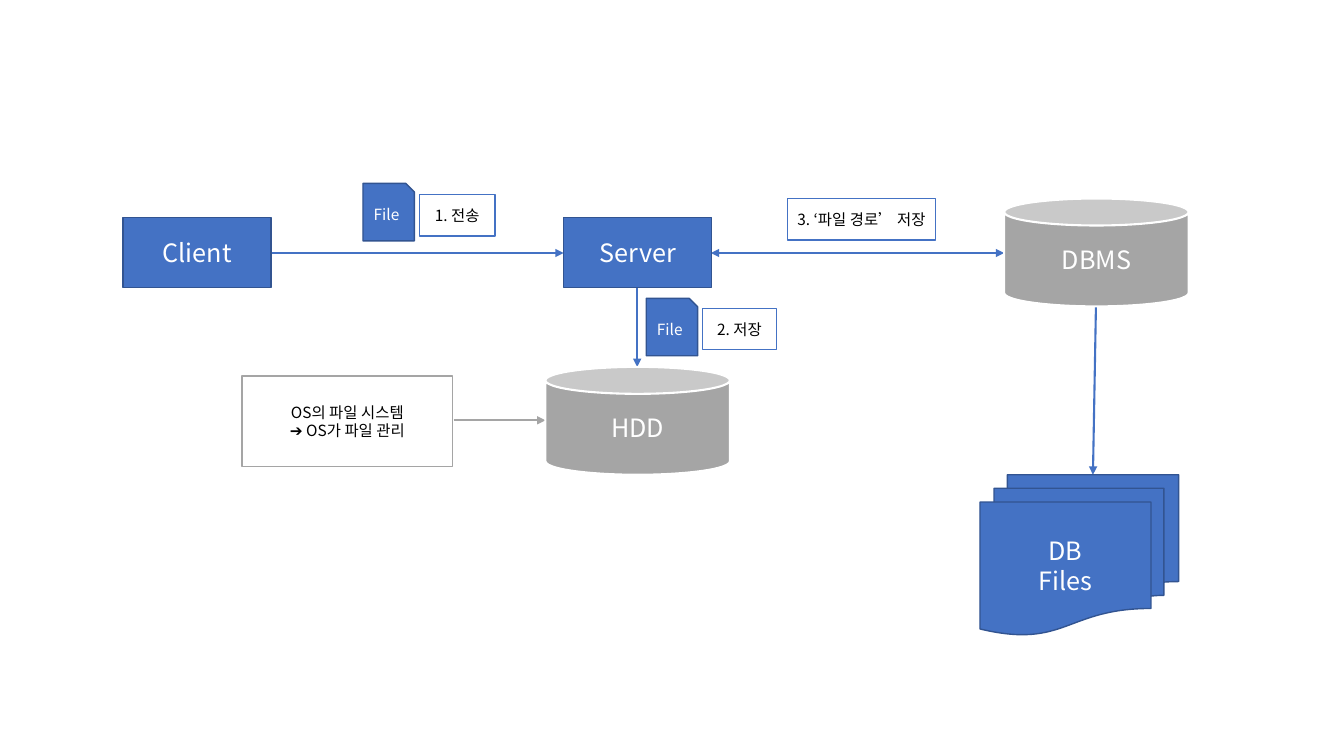
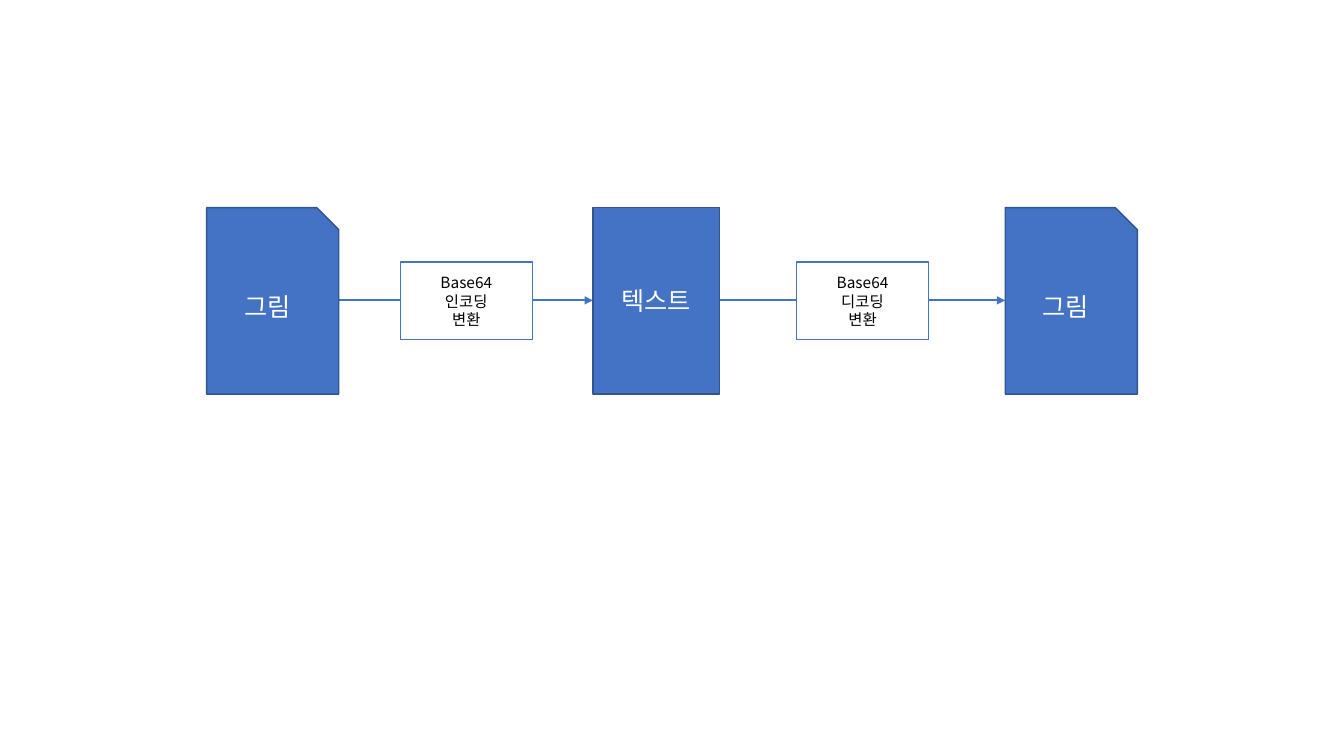
from lxml import etree
from pptx import Presentation
from pptx.dml.color import RGBColor
from pptx.enum import shapes, text
from pptx.oxml import ns
from pptx.util import Inches, Pt

BLUE = RGBColor(0x44, 0x72, 0xC4)
NAVY = RGBColor(0x32, 0x54, 0x91)
GRAY = RGBColor(0xA5, 0xA5, 0xA5)
WHITE = RGBColor(0xFF, 0xFF, 0xFF)
BLACK = RGBColor(0x00, 0x00, 0x00)
FONT = "Noto Sans CJK KR"

RECT = shapes.MSO_SHAPE.RECTANGLE
CAN = shapes.MSO_SHAPE.CAN
SNIP = shapes.MSO_SHAPE.SNIP_1_RECTANGLE
STACK = shapes.MSO_SHAPE.FLOWCHART_MULTIDOCUMENT

STYLES = {
    "node": {"fill": BLUE, "line": NAVY, "width": 1, "size": 18, "color": WHITE},
    "file": {"fill": BLUE, "line": NAVY, "width": 1, "size": 11, "color": WHITE},
    "storage": {"fill": GRAY, "line": WHITE, "width": 1.5, "size": 18, "color": WHITE},
    "label": {"fill": WHITE, "line": BLUE, "width": 1, "size": 11, "color": BLACK},
    "note": {"fill": WHITE, "line": GRAY, "width": 1, "size": 11, "color": BLACK},
}


def add_box(page, kind, style_name, words, left, top, width, height):
    style = STYLES[style_name]
    box = page.shapes.add_shape(kind, Inches(left), Inches(top), Inches(width), Inches(height))
    box.shadow.inherit = False
    box.fill.solid()
    box.fill.fore_color.rgb = style["fill"]
    box.line.color.rgb = style["line"]
    box.line.width = Pt(style["width"])
    frame = box.text_frame
    frame.text = words
    frame.word_wrap = True
    frame.vertical_anchor = text.MSO_ANCHOR.MIDDLE
    font_format = {"name": FONT, "size": Pt(style["size"])}
    for para in frame.paragraphs:
        para.alignment = text.PP_ALIGN.CENTER
        for span in para.runs:
            for key, value in font_format.items():
                setattr(span.font, key, value)
            span.font.color.rgb = style["color"]
            properties = span._r.get_or_add_rPr()
            etree.SubElement(properties, ns.qn("a:ea"), typeface=FONT)


def add_arrow(page, color, start, end, arrowheads=("tailEnd",)):
    arrow = page.shapes.add_connector(
        shapes.MSO_CONNECTOR.STRAIGHT, *[Inches(value) for value in start + end])
    arrow.line.color.rgb = color
    arrow.line.width = Pt(1.5)
    outline = arrow.line._get_or_add_ln()
    for arrowhead in arrowheads:
        etree.SubElement(outline, ns.qn("a:" + arrowhead), type="triangle")
    etree.SubElement(arrow._element.spPr, ns.qn("a:effectLst"))


deck = Presentation()
deck.slide_width = Inches(13.33)
deck.slide_height = Inches(7.5)
blank = deck.slide_layouts[6]

storage_page = deck.slides.add_slide(blank)
flow_y = 2.51
server_x = 6.32
disk_y = 4.17
add_arrow(storage_page, BLUE, (2.69, flow_y), (5.59, flow_y))
add_arrow(storage_page, BLUE, (7.05, flow_y), (9.96, flow_y), ("headEnd", "tailEnd"))
add_arrow(storage_page, BLUE, (10.87, 3.04), (10.84, 4.71))
add_arrow(storage_page, BLUE, (server_x, 2.85), (server_x, 3.64))
add_arrow(storage_page, GRAY, (4.5, disk_y), (5.41, disk_y))

for name, left in (("Client", 1.22), ("Server", 5.59)):
    add_box(storage_page, RECT, "node", name, left, 2.16, 1.47, 0.69)
for name, left, top in (("DBMS", 9.96, 1.97), ("HDD", 5.41, 3.64)):
    add_box(storage_page, CAN, "storage", name, left, top, 1.83, 1.07)
add_box(storage_page, STACK, "node", "DB\nFiles", 9.72, 4.71, 1.97, 1.59)
for left, top in ((3.6, 1.82), (6.41, 2.96)):
    add_box(storage_page, SNIP, "file", "File", left, top, 0.51, 0.57)
for words, left, top, width in (
    ("1. 전송", 4.16, 1.93, 0.75),
    ("2. 저장", 6.97, 3.06, 0.73),
    ("3. ‘파일 경로’ 저장", 7.81, 1.97, 1.47),
):
    add_box(storage_page, RECT, "label", words, left, top, width, 0.41)
add_box(storage_page, RECT, "note", "OS의 파일 시스템\n➔ OS가 파일 관리", 2.4, 3.73, 2.09, 0.9)

encoding_page = deck.slides.add_slide(blank)
encoding_y = 2.98
for start_x, end_x in ((3.36, 5.88), (7.14, 9.97)):
    add_arrow(encoding_page, BLUE, (start_x, encoding_y), (end_x, encoding_y))
for kind, words, left, width in (
    (SNIP, "그림", 2.05, 1.31),
    (RECT, "텍스트", 5.88, 1.26),
    (SNIP, "그림", 9.97, 1.31),
):
    add_box(encoding_page, kind, "node", words, left, 2.06, width, 1.85)
for step, left in (("인코딩", 3.97), ("디코딩", 7.9)):
    add_box(encoding_page, RECT, "label", f"Base64\n{step}\n변환", left, 2.6, 1.31, 0.77)

deck.save("out.pptx")
